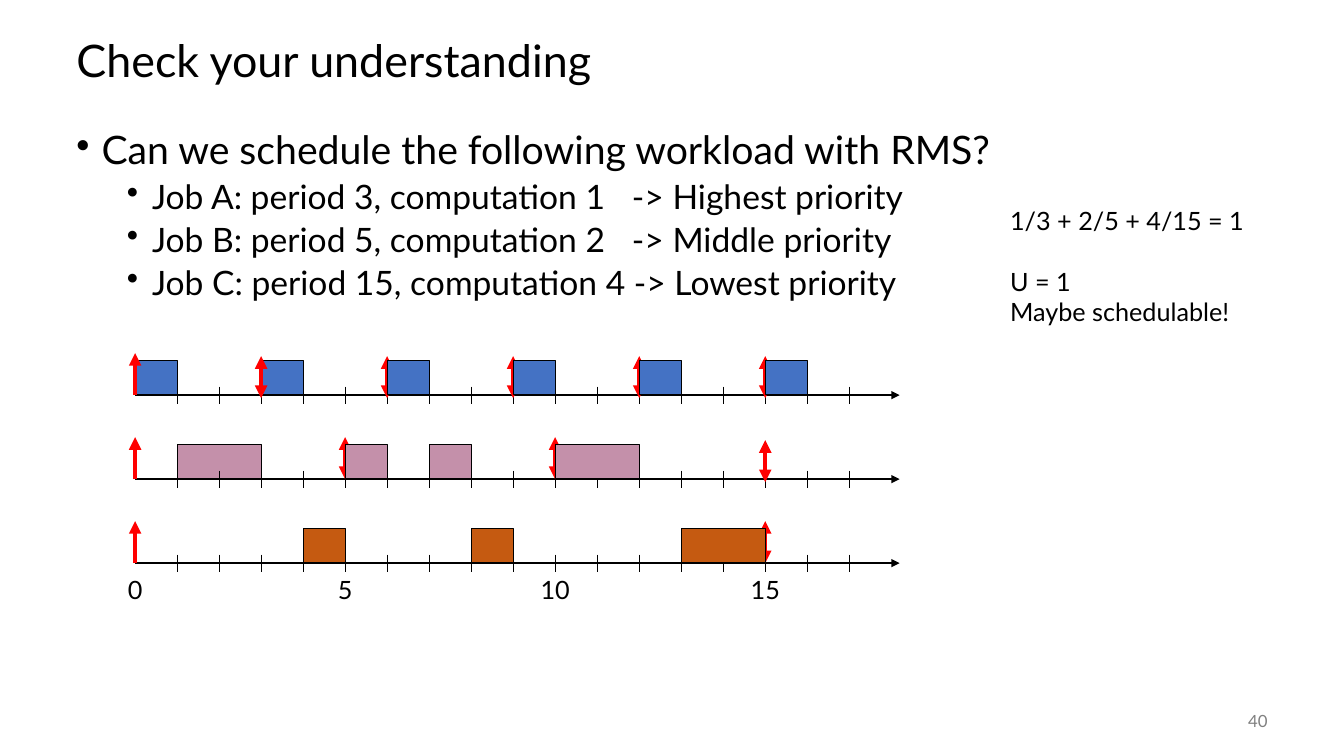
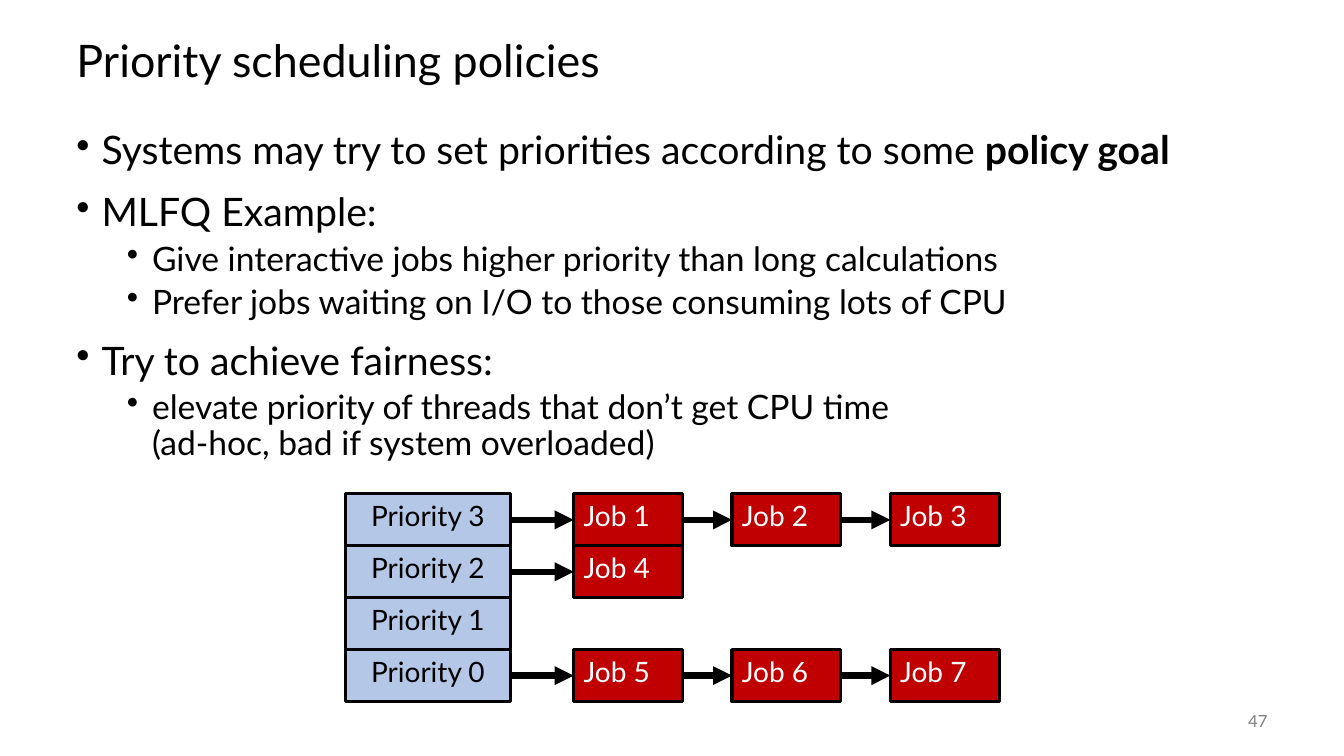
import pptx
import pptx.util
import pptx.dml.color
import pptx.enum.shapes
import pptx.enum.text
import pptx.oxml
import pptx.oxml.ns

RGBColor = pptx.dml.color.RGBColor
BLACK = RGBColor(0x00, 0x00, 0x00)
WHITE = RGBColor(0xFF, 0xFF, 0xFF)
GRAY = RGBColor(0x80, 0x80, 0x80)
BLUE = RGBColor(0x44, 0x72, 0xC4)
MAUVE = RGBColor(0xC4, 0x90, 0xAA)
ORANGE = RGBColor(0xC5, 0x5A, 0x11)
RED = RGBColor(0xFF, 0x00, 0x00)
PALE_BLUE = RGBColor(0xB4, 0xC7, 0xE7)
DARK_RED = RGBColor(0xC0, 0x00, 0x00)

ALIGN = pptx.enum.text.PP_ALIGN
ANCHOR = pptx.enum.text.MSO_ANCHOR
RECTANGLE = pptx.enum.shapes.MSO_SHAPE.RECTANGLE
STRAIGHT = pptx.enum.shapes.MSO_CONNECTOR.STRAIGHT
inches = pptx.util.Inches
points = pptx.util.Pt

TITLE_BOX = (0.66, 0.25, 12, 0.75)
BODY_BOX = (0.66, 1.25, 12, 5.5)
NUMBER_BOX = (11.67, 6.95, 1, 0.4)
TITLE_FONT = {"size": points(32), "color": BLACK}
NOTE_FONT = {"size": points(18), "color": BLACK}
NUMBER_FONT = {"size": points(12), "color": GRAY}
BULLET_LEVELS = [
    {"size": 28, "indent": 0.25, "before": 14},
    {"size": 24, "indent": 0.75, "before": 5},
]
HANGING = 0.25


def set_values(target, values):
    for name, value in values.items():
        setattr(target, name, value)


def style_runs(paragraph, font):
    values = {"name": "Lato", **font}
    color = values.pop("color")
    for run in paragraph.runs:
        set_values(run.font, values)
        run.font.color.rgb = color


def add_text(slide, box, paragraphs, font, anchor=ANCHOR.TOP, **paragraph_format):
    frame = slide.shapes.add_textbox(*map(inches, box)).text_frame
    set_values(frame, {"word_wrap": True, "vertical_anchor": anchor})
    for index, text in enumerate(paragraphs):
        paragraph = frame.add_paragraph() if index else frame.paragraphs[0]
        paragraph.text = text
        set_values(paragraph, paragraph_format)
        style_runs(paragraph, font)
    return frame


def add_block(slide, box, fill, line_width):
    block = slide.shapes.add_shape(RECTANGLE, *map(inches, box))
    block.shadow.inherit = False
    block.fill.solid()
    block.fill.fore_color.rgb = fill
    block.line.color.rgb = BLACK
    block.line.width = points(line_width)
    return block


def add_line(slide, start, end, color, width, heads=()):
    """Draw a straight line; heads names the ends ("headEnd", "tailEnd") with a triangle."""
    line = slide.shapes.add_connector(STRAIGHT, *map(inches, (*start, *end)))
    line.line.color.rgb = color
    line.line.width = points(width)
    outline = line.line._get_or_add_ln()
    for head in heads:
        pptx.oxml.ns.qn("a:" + head)
        add_element(outline, head, type="triangle")
    add_element(outline.getparent(), "effectLst")
    return line


def add_element(parent, tag, **attributes):
    element = pptx.oxml.parse_xml(f"<a:{tag} {pptx.oxml.ns.nsdecls('a')}/>")
    for name, value in attributes.items():
        element.set(name, value)
    parent.append(element)
    return element


def add_bullets(slide, bullets, tab=None):
    """Fill the body box from (level, text, bold ending) entries."""
    frame = slide.shapes.add_textbox(*map(inches, BODY_BOX)).text_frame
    frame.word_wrap = True
    for index, (level, text, bold_ending) in enumerate(bullets):
        look = BULLET_LEVELS[level]
        paragraph = frame.add_paragraph() if index else frame.paragraphs[0]
        properties = paragraph._p.get_or_add_pPr()
        properties.set("marL", str(inches(look["indent"])))
        properties.set("indent", str(-inches(HANGING)))
        add_element(properties, "buChar", char="•")
        if tab and "\t" in text:
            stops = add_element(properties, "tabLst")
            add_element(stops, "tab", pos=str(inches(tab)), algn="l")
        paragraph.text = text
        set_values(paragraph, {"level": level, "line_spacing": 0.9,
                               "space_before": points(look["before"] if index else 0)})
        if bold_ending:
            ending = paragraph.add_run()
            ending.text = bold_ending
            ending.font.bold = True
        style_runs(paragraph, {"size": points(look["size"]), "color": BLACK})


def add_content_slide(deck, title, number, bullets, tab=None):
    slide = deck.slides.add_slide(deck.slide_layouts[6])
    add_text(slide, TITLE_BOX, [title], TITLE_FONT, ANCHOR.MIDDLE, line_spacing=0.9)
    add_bullets(slide, bullets, tab)
    add_text(slide, NUMBER_BOX, [number], NUMBER_FONT, ANCHOR.MIDDLE, alignment=ALIGN.RIGHT)
    return slide


def add_timeline(slide, left, axis, unit, color, runs, releases):
    """Draw one job's axis, its (start, length) runs and its {time: drop} releases."""
    def add_runs(shown):
        for start, length in shown:
            box = (left + start * unit, axis - 0.34, length * unit, 0.33)
            add_block(slide, box, color, 0.75)

    add_runs(run for run in runs if run[0] < 5)
    add_line(slide, (left, axis), (left + 18.2 * unit, axis), BLACK, 1.5, ["tailEnd"])
    for time in range(1, 18):
        x = left + time * unit
        add_line(slide, (x, axis - unit / 5), (x, axis + unit / 5), BLACK, 0.75)
    for time, drop in releases.items():
        x, foot = left + time * unit, axis + drop
        heads = ["headEnd", "tailEnd"] if time else ["tailEnd"]
        add_line(slide, (x, foot), (x, foot - unit), RED, 3, heads)
    add_runs(run for run in runs if run[0] >= 5)


def add_schedule(slide, left, top, unit):
    jobs = [
        (BLUE, [(start, 1) for start in range(0, 16, 3)],
         {0: 0, **dict.fromkeys(range(3, 16, 3), 0.03)}),
        (MAUVE, [(1, 2), (5, 1), (7, 1), (10, 2)], {0: 0, 5: 0, 10: 0, 15: 0.03}),
        (ORANGE, [(4, 1), (8, 1), (13, 2)], {0: 0, 15: 0}),
    ]
    for row, (color, runs, releases) in enumerate(jobs):
        add_timeline(slide, left, top + 2 * row * unit, unit, color, runs, releases)
    label_top = top + 2 * (len(jobs) - 1) * unit + 0.06
    for time in range(0, 16, 5):
        label_left = left + (time - 0.8) * unit
        add_text(slide, (label_left, label_top, 1.6 * unit, 0.4), [str(time)],
                 NOTE_FONT, alignment=ALIGN.CENTER)


def add_utilization_note(slide, box):
    lines = ["1/3 + 2/5 + 4/15 = 1", "U = 1", "Maybe schedulable!"]
    frame = add_text(slide, box, lines, NOTE_FONT)
    frame.paragraphs[1].space_before = points(21.6)


def add_queue_cell(slide, box, text, fill, color, alignment):
    cell = add_block(slide, box, fill, 2.25)
    cell.text_frame.vertical_anchor = ANCHOR.TOP
    paragraph = cell.text_frame.paragraphs[0]
    paragraph.text = text
    paragraph.alignment = alignment
    style_runs(paragraph, {"size": points(20), "color": color})
    return cell


def add_priority_queues(slide, left, top):
    row_height, job_left, job_pitch = 0.515, left + 2.26, 1.57
    queues = [("Priority 3", ["Job 1", "Job 2", "Job 3"]), ("Priority 2", ["Job 4"]),
              ("Priority 1", []), ("Priority 0", ["Job 5", "Job 6", "Job 7"])]
    for row, (priority, jobs) in enumerate(queues):
        y = top + row * row_height
        previous = add_queue_cell(slide, (left, y, 1.63, row_height), priority,
                                  PALE_BLUE, BLACK, ALIGN.CENTER)
        for column, job in enumerate(jobs):
            box = (job_left + column * job_pitch, y, 1.08, row_height)
            cell = add_queue_cell(slide, box, job, DARK_RED, WHITE, ALIGN.LEFT)
            arrow = add_line(slide, (left, y), (box[0], y), BLACK, 4.5, ["tailEnd"])
            arrow.begin_connect(previous, 3)
            arrow.end_connect(cell, 1)
            previous = cell


def main():
    deck = pptx.Presentation()
    set_values(deck, {"slide_width": inches(13.33), "slide_height": inches(7.5)})

    workload = add_content_slide(deck, "Check your understanding", "40", [
        (0, "Can we schedule the following workload with RMS?", ""),
        (1, "Job A: period 3, computation 1\t-> Highest priority", ""),
        (1, "Job B: period 5, computation 2\t-> Middle priority", ""),
        (1, "Job C: period 15, computation 4 -> Lowest priority", ""),
    ], tab=5.51)
    add_schedule(workload, 1.34, 3.92, 5 / 12)
    add_utilization_note(workload, (9.92, 1.99, 2.75, 1.31))

    policies = add_content_slide(deck, "Priority scheduling policies", "47", [
        (0, "Systems may try to set priorities according to some ", "policy goal"),
        (0, "MLFQ Example:", ""),
        (1, "Give interactive jobs higher priority than long calculations", ""),
        (1, "Prefer jobs waiting on I/O to those consuming lots of CPU", ""),
        (0, "Try to achieve fairness:", ""),
        (1, "elevate priority of threads that don’t get CPU time\v"
            "(ad-hoc, bad if system overloaded)", ""),
    ])
    add_priority_queues(policies, 3.43, 4.9)
    deck.save("out.pptx")


if __name__ == "__main__":
    main()
